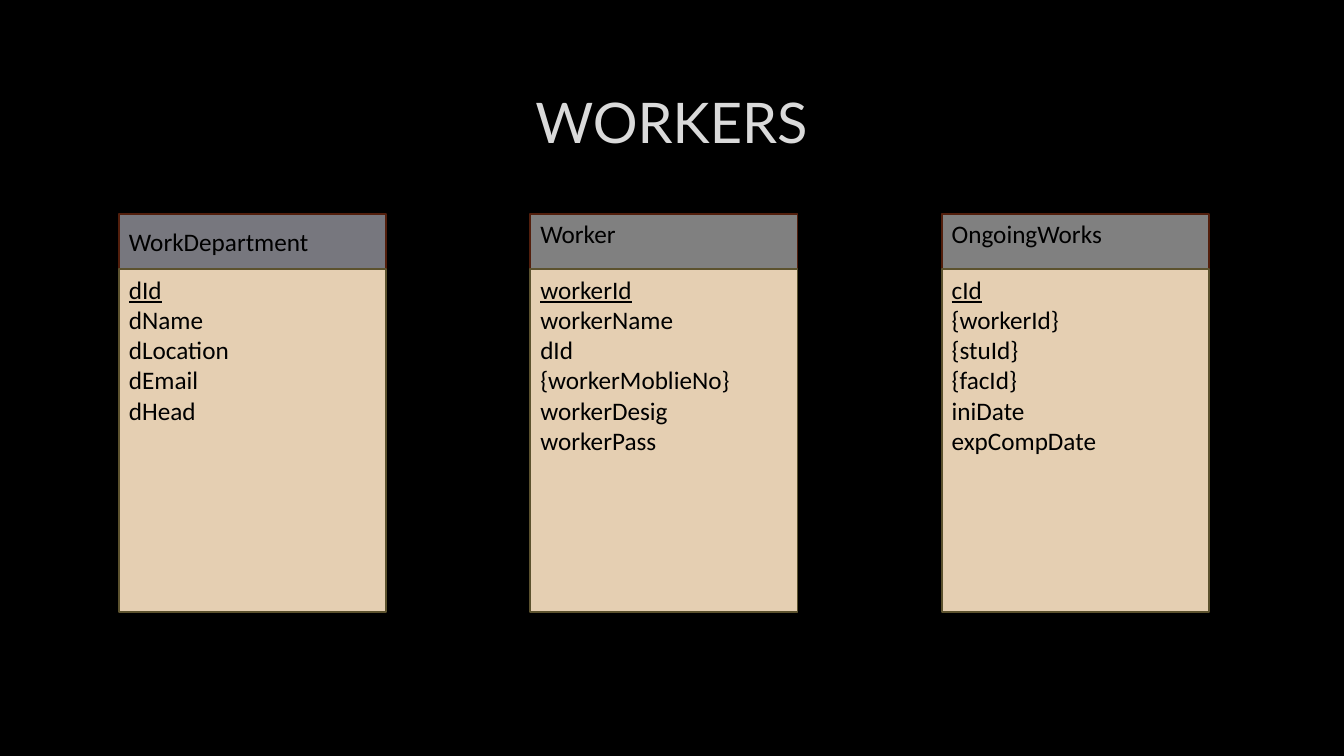
from dataclasses import dataclass

from pptx import Presentation
from pptx.dml.color import RGBColor
from pptx.enum.shapes import MSO_SHAPE
from pptx.enum.text import MSO_ANCHOR, PP_ALIGN
from pptx.util import Pt

PX = 9144


@dataclass(frozen=True)
class Theme:
    """Colours, fonts and type sizes of the slide."""
    background: str = "000000"
    title: str = "DADADA"
    text: str = "000000"
    header: str = "808080"
    header_cool: str = "77777E"
    header_line: str = "521E0C"
    body: str = "E5CFB2"
    body_line: str = "5C522E"
    title_font: str = "Lato"
    text_font: str = "Calibri"
    title_size: int = 40
    text_size: int = 18
    line_width: float = 1.25


THEME = Theme()
TOP, MIDDLE = MSO_ANCHOR.TOP, MSO_ANCHOR.MIDDLE
CARD_LEFT, CARD_TOP, CARD_WIDTH, CARD_STEP = 118, 212, 265, 408
HEADER_HEIGHT, BODY_HEIGHT = 56, 340

ENTITIES = [
    ("WorkDepartment", THEME.header_cool, MIDDLE,
     ["dId", "dName", "dLocation", "dEmail", "dHead"]),
    ("Worker", THEME.header, TOP,
     ["workerId", "workerName", "dId", "{workerMoblieNo}", "workerDesig", "workerPass"]),
    ("OngoingWorks", THEME.header, TOP,
     ["cId", "{workerId}", "{stuId}", "{facId}", "iniDate", "expCompDate"]),
]


def px(*lengths):
    """Turn pixel lengths into EMU."""
    return [length * PX for length in lengths]


def set_attrs(obj, values):
    """Set every attribute named in a dict of format values."""
    for name, value in values.items():
        setattr(obj, name, value)


def add_run(p, text, font, size, color, underline=False):
    """Add one formatted run to a paragraph."""
    r = p.add_run()
    r.text = text
    set_attrs(r.font, {"name": font, "size": Pt(size), "underline": underline})
    r.font.color.rgb = RGBColor.from_string(color)


def set_title(s, text):
    """Place and format the title placeholder."""
    sp = s.shapes.title
    left, top, width, height = px(100, 67, 1132, 106)
    set_attrs(sp, {"left": left, "top": top, "width": width, "height": height})
    tf = sp.text_frame
    set_attrs(tf, {"vertical_anchor": MIDDLE, "word_wrap": True})
    p = tf.paragraphs[0]
    p.alignment = PP_ALIGN.CENTER
    add_run(p, text, THEME.title_font, THEME.title_size, THEME.title)


def add_box(group, box, fill, line, lines, anchor=TOP, has_key=False):
    """Add a text rectangle, underlining its first line if that is a key."""
    sp = group.shapes.add_shape(MSO_SHAPE.RECTANGLE, *px(*box))
    sp.shadow.inherit = False
    sp.fill.solid()
    sp.fill.fore_color.rgb = RGBColor.from_string(fill)
    sp.line.color.rgb = RGBColor.from_string(line)
    sp.line.width = Pt(THEME.line_width)
    tf = sp.text_frame
    set_attrs(tf, {"vertical_anchor": anchor, "word_wrap": True})
    for i, text in enumerate(lines):
        p = tf.add_paragraph() if i else tf.paragraphs[0]
        p.alignment = PP_ALIGN.LEFT
        add_run(p, text, THEME.text_font, THEME.text_size, THEME.text,
                has_key and i == 0)


def add_entity(s, left, name, fill, anchor, fields):
    """Add a grouped entity card: a header above its fields."""
    group = s.shapes.add_group_shape()
    add_box(group, (left, CARD_TOP, CARD_WIDTH, HEADER_HEIGHT),
            fill, THEME.header_line, [name], anchor)
    add_box(group, (left, CARD_TOP + HEADER_HEIGHT - 1, CARD_WIDTH, BODY_HEIGHT),
            THEME.body, THEME.body_line, fields, has_key=True)


def main():
    """Build and save the slide."""
    prs = Presentation()
    prs.slide_width, prs.slide_height = px(1333, 750)
    s = prs.slides.add_slide(prs.slide_layouts[5])
    s.background.fill.solid()
    s.background.fill.fore_color.rgb = RGBColor.from_string(THEME.background)
    set_title(s, "WORKERS")
    for i, entity in enumerate(ENTITIES):
        add_entity(s, CARD_LEFT + i * CARD_STEP, *entity)
    prs.save("out.pptx")


if __name__ == "__main__":
    main()
